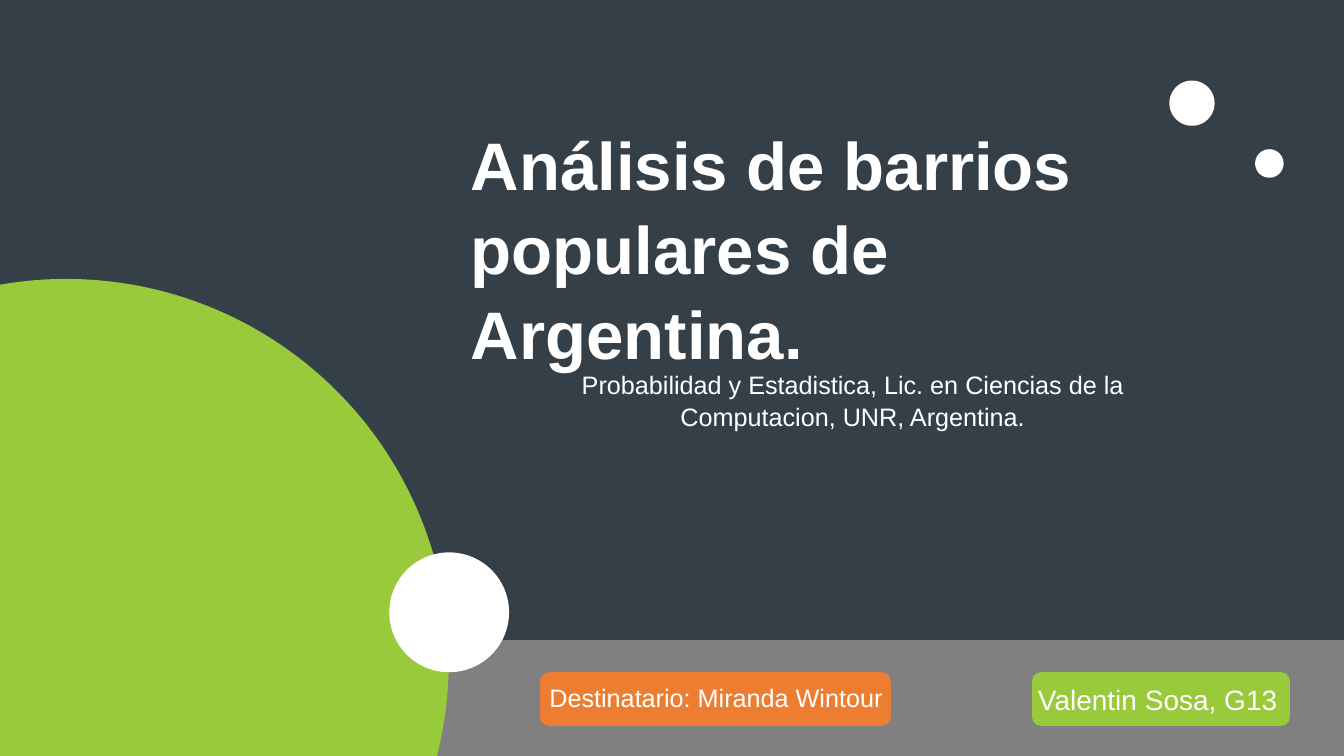
"""Build the title slide of a statistics project on Argentine settlements."""
from math import acos, asin, cos, pi, sin

from pptx import Presentation
from pptx.dml.color import RGBColor
from pptx.enum.shapes import MSO_SHAPE as SHAPE
from pptx.enum.text import MSO_ANCHOR as ANCHOR, MSO_AUTO_SIZE as AUTO, PP_ALIGN as ALIGN
from pptx.util import Cm, Pt

COLORS = {"slate": "353F48", "gray": "808080", "green": "99CA3B",
          "orange": "ED7D31", "white": "FFFFFF"}
FONT = "Arial"
WIDTH, HEIGHT = 33.87, 19.05

TITLE = ("Análisis de barrios populares de Argentina.", (11.61, 2.87, 19.71, 4.37))
SUBTITLE = ("Probabilidad y Estadistica, Lic. en Ciencias de la Computacion, UNR, Argentina.",
            (13.69, 9.17, 15.6, 1.8))
BAR = (0, 16.13, WIDTH, 2.92)
BADGES = [
    ("Valentin Sosa, G13", 20, "green", (26.01, 16.94, 6.5, 1.35), (25.48, 17.07, 7.39, 1.12)),
    ("Destinatario: Miranda Wintour", 18, "orange", (13.61, 16.94, 8.84, 1.35),
     (12.47, 17.07, 11.15, 1.02)),
]
DISC = (1.67, 16.67, 9.64)
DOTS = [(9.81, 13.92, 3.02), (29.47, 2.03, 1.14), (31.63, 3.76, 0.72)]
ARC_STEPS = 120


def rgb(name):
    return RGBColor.from_string(COLORS[name])


def paint(sp, color):
    sp.shadow.inherit = False
    sp.fill.solid()
    sp.fill.fore_color.rgb = rgb(color)
    sp.line.fill.background()


def add_shape(shapes, kind, box, color):
    paint(shapes.add_shape(kind, *map(Cm, box)), color)


def write(sp, text, size=18, bold=False, align=ALIGN.CENTER, spacing=1.0):
    tf = sp.text_frame
    tf.word_wrap = True
    tf.auto_size = AUTO.SHAPE_TO_FIT_TEXT
    tf.vertical_anchor = ANCHOR.TOP
    p = tf.paragraphs[0]
    p.alignment, p.line_spacing = align, spacing
    r = p.add_run()
    r.text = text
    r.font.name, r.font.size, r.font.bold = FONT, Pt(size), bold
    r.font.color.rgb = rgb("white")


def add_disc(shapes):
    cx, cy, radius = DISC
    start = -acos(-cx / radius)
    end = asin((HEIGHT - cy) / radius)
    angles = [start + (end - start) * i / ARC_STEPS for i in range(ARC_STEPS + 1)]
    points = [(Cm(cx + radius * cos(a)), Cm(cy + radius * sin(a))) for a in angles]
    builder = shapes.build_freeform(*points[0])
    builder.add_line_segments(points[1:] + [(0, Cm(HEIGHT))], close=True)
    paint(builder.convert_to_shape(), "green")


def main():
    prs = Presentation()
    prs.slide_width, prs.slide_height = Cm(WIDTH), Cm(HEIGHT)
    s = prs.slides.add_slide(prs.slide_layouts[5])
    s.background.fill.solid()
    s.background.fill.fore_color.rgb = rgb("slate")

    add_shape(s.shapes, SHAPE.RECTANGLE, BAR, "gray")
    text, box = TITLE
    title = s.shapes.title
    title.left, title.top, title.width, title.height = map(Cm, box)
    write(title, text, size=48, bold=True, align=ALIGN.LEFT, spacing=1.05)
    text, box = SUBTITLE
    write(s.shapes.add_textbox(*map(Cm, box)), text, spacing=1.03)

    add_disc(s.shapes)
    for x, y, size in DOTS:
        add_shape(s.shapes, SHAPE.OVAL, (x, y, size, size), "white")
    for text, size, color, box, text_box in BADGES:
        group = s.shapes.add_group_shape()
        add_shape(group.shapes, SHAPE.ROUNDED_RECTANGLE, box, color)
        write(group.shapes.add_textbox(*map(Cm, text_box)), text, size=size)
    prs.save("out.pptx")


if __name__ == "__main__":
    main()
